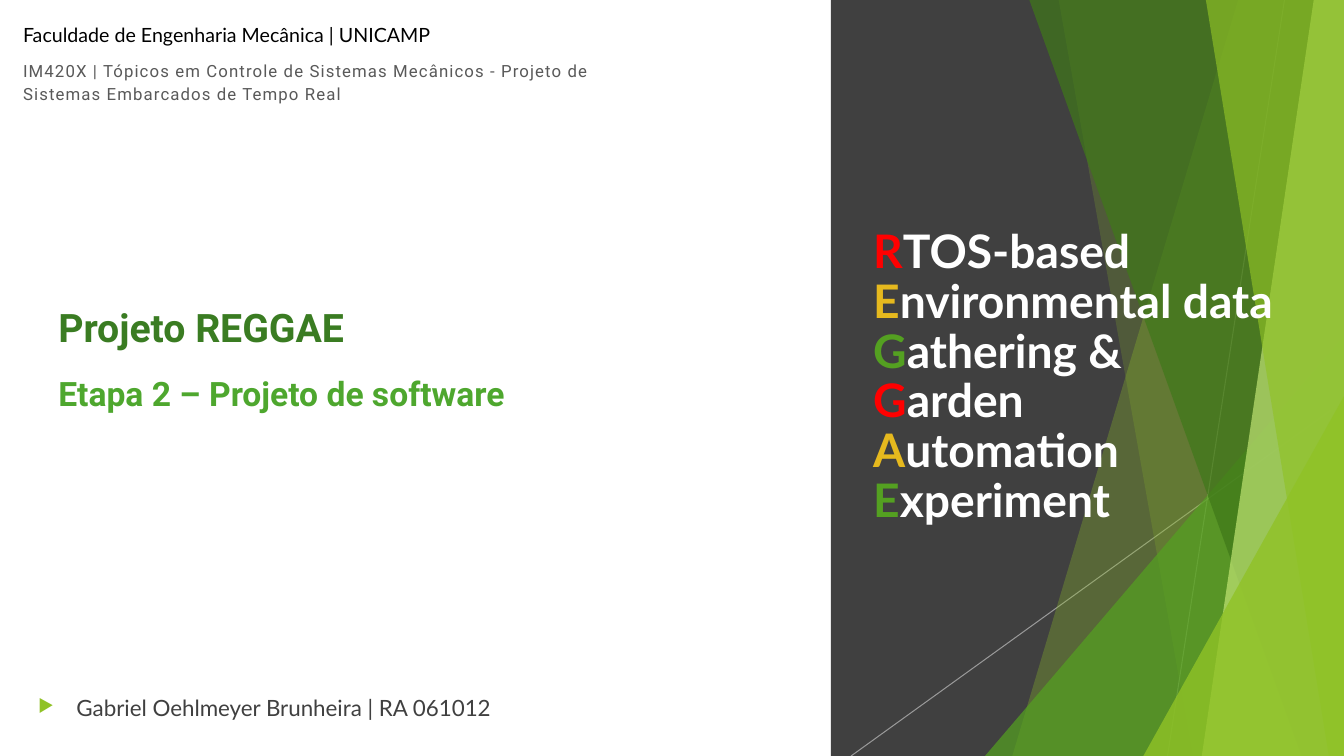
from lxml.etree import SubElement
from pptx import Presentation
from pptx.dml.color import RGBColor
from pptx.enum.shapes import MSO_CONNECTOR as Connector, MSO_SHAPE as Shape
from pptx.enum.text import MSO_ANCHOR as Anchor, MSO_AUTO_SIZE as AutoSize, PP_ALIGN as Align
from pptx.oxml.ns import qn
from pptx.util import Inches, Pt

WHITE, RED, GOLD, GREEN = "FFFFFF", "FF0000", "E6B91E", "54A021"
LIME, FOREST, PALE, CHARCOAL, SILVER = "90C226", "3F7819", "C0E474", "404040", "BFBFBF"


def color(hex_text):
    """Turn a hex string into a colour."""
    return RGBColor.from_string(hex_text)


def set_opacity(shape, percent):
    """Make the shape's first colour partly transparent."""
    tint = next(shape._element.spPr.iter(qn("a:srgbClr")))
    SubElement(tint, qn("a:alpha")).set("val", str(percent * 1000))


def write(paragraph, text, size, ink, font="Lato", bold=False, tracking=0):
    """Add a formatted run to a paragraph."""
    run = paragraph.add_run()
    run.text = text
    run.font.name, run.font.size, run.font.bold = font, Pt(size), bold
    run.font.color.rgb = color(ink)
    if tracking:
        run._r.get_or_add_rPr().set("spc", str(round(tracking * 100)))


def space(paragraph, line=1.0, before=0, after=0):
    """Set the spacing of a left-aligned paragraph."""
    paragraph.alignment = Align.LEFT
    paragraph.line_spacing = line
    paragraph.space_before, paragraph.space_after = Pt(before), Pt(after)


def add_bullet(paragraph, symbol, ink, percent, indent):
    """Give a paragraph a coloured bullet with a hanging indent."""
    properties = paragraph._p.get_or_add_pPr()
    properties.set("marL", str(Inches(indent)))
    properties.set("indent", str(-Inches(indent)))
    bullet_color = SubElement(properties, qn("a:buClr"))
    SubElement(bullet_color, qn("a:srgbClr")).set("val", ink)
    SubElement(properties, qn("a:buSzPct")).set("val", str(percent * 1000))
    SubElement(properties, qn("a:buChar")).set("char", symbol)


class Cover:
    """Draw on one slide with a grid of 100 columns by 100 rows."""

    def __init__(self, presentation):
        """Add a title-only slide and measure its grid."""
        self.slide = presentation.slides.add_slide(presentation.slide_layouts[5])
        self.column = presentation.slide_width / 100
        self.row = presentation.slide_height / 100

    def point(self, column, row):
        """Convert a grid position to slide units."""
        return round(column * self.column), round(row * self.row)

    def box(self, left, top, width, height):
        """Convert a grid box to slide units."""
        return *self.point(left, top), *self.point(width, height)

    def paint(self, shape, fill, opacity=100):
        """Apply a flat fill without outline or shadow."""
        shape.shadow.inherit = False
        shape.fill.solid()
        shape.fill.fore_color.rgb = color(fill)
        shape.line.fill.background()
        if opacity < 100:
            set_opacity(shape, opacity)

    def panel(self, left, fill):
        """Fill the slide from a column to its right edge."""
        box = self.box(left, 0, 100 - left, 100)
        self.paint(self.slide.shapes.add_shape(Shape.RECTANGLE, *box), fill)

    def ray(self, start, end, ink, opacity):
        """Draw a thin translucent line."""
        line = self.slide.shapes.add_connector(
            Connector.STRAIGHT, *self.point(*start), *self.point(*end))
        line.line.color.rgb = color(ink)
        line.line.width = Pt(0.75)
        set_opacity(line, opacity)
        SubElement(line._element.spPr, qn("a:effectLst"))

    def facet(self, top_left, bottom_left, fill, opacity):
        """Draw a full-height band with a slanted left side."""
        builder = self.slide.shapes.build_freeform(*self.point(top_left, 0))
        builder.add_line_segments(
            [self.point(100, 0), self.point(100, 100), self.point(bottom_left, 100)], close=True)
        self.paint(builder.convert_to_shape(), fill, opacity)

    def corner(self, left, top, fill, opacity):
        """Draw a right triangle in the bottom-right corner."""
        box = self.box(left, top, 100 - left, 100 - top)
        triangle = self.slide.shapes.add_shape(Shape.ISOSCELES_TRIANGLE, *box)
        triangle.adjustments[0] = 1
        self.paint(triangle, fill, opacity)

    def title(self, box, lines, size):
        """Write the title with a coloured initial on each line."""
        title = self.slide.shapes.title
        title.left, title.top, title.width, title.height = self.box(*box)
        frame = title.text_frame
        frame.word_wrap, frame.auto_size = True, AutoSize.NONE
        frame.vertical_anchor = Anchor.MIDDLE
        paragraph = frame.paragraphs[0]
        space(paragraph, line=0.9)
        for index, (line, ink) in enumerate(lines):
            if index:
                paragraph.add_line_break()
            write(paragraph, line[0], size=size, ink=ink, bold=True)
            write(paragraph, line[1:], size=size, ink=WHITE, bold=True)

    def text(self, box, *entries):
        """Add a text box from entries of text, spacing and format."""
        frame = self.slide.shapes.add_textbox(*self.box(*box)).text_frame
        frame.word_wrap = True
        for index, (text, spacing, style) in enumerate(entries):
            paragraph = frame.add_paragraph() if index else frame.paragraphs[0]
            space(paragraph, **spacing)
            write(paragraph, text, **style)
        return frame


def main():
    """Build and save the cover slide."""
    presentation = Presentation()
    presentation.slide_width, presentation.slide_height = Inches(13.33), Inches(7.5)
    cover = Cover(presentation)

    cover.panel(61.82, CHARCOAL)
    cover.ray((95.57, 0), (86.87, 100), SILVER, 70)
    cover.ray((99.02, 54.27), (63.32, 100), SILVER, 70)
    cover.facet(92.12, 75.32, LIME, 30)
    cover.facet(78.77, 88.75, LIME, 20)
    cover.corner(73.29, 44.4, GREEN, 72)
    cover.facet(76.59, 96.85, FOREST, 70)
    cover.facet(97.75, 89.42, PALE, 70)
    cover.facet(89.72, 98.87, LIME, 65)
    cover.corner(85.07, 52.4, LIME, 80)

    words = ["RTOS-based", "Environmental data", "Gathering &", "Garden", "Automation", "Experiment"]
    cover.title((64.22, 18.27, 33.31, 63.47), list(zip(words, [RED, GOLD, GREEN] * 2)), size=33)
    title = cover.slide.shapes.title._element
    title.getparent().append(title)

    author = cover.text(
        (2.1, 91.2, 56.26, 6.27),
        ("Gabriel Oehlmeyer Brunheira | RA 061012", dict(before=10), dict(size=16, ink=CHARCOAL)))
    add_bullet(author.paragraphs[0], "▶", LIME, percent=80, indent=0.38)

    course_spacing = dict(line=1.15, after=8)
    cover.text(
        (0.98, 1.87, 45.69, 12.53),
        ("Faculdade de Engenharia Mecânica | UNICAMP", course_spacing, dict(size=14, ink="000000")),
        ("IM420X | Tópicos em Controle de Sistemas Mecânicos - Projeto de "
         "Sistemas Embarcados de Tempo Real", course_spacing,
         dict(size=12, ink="595959", font="Roboto", tracking=0.8)))

    heading = dict(font="Roboto", bold=True)
    cover.text(
        (3.6, 38.53, 47.04, 16.67),
        ("Projeto REGGAE", dict(line=1.15, before=18, after=4), dict(size=28, ink="3A7C22", **heading)),
        ("Etapa 2 – Projeto de software", dict(line=1.15, before=8, after=4),
         dict(size=24, ink="4EA72E", **heading)))

    presentation.save("out.pptx")


if __name__ == "__main__":
    main()
